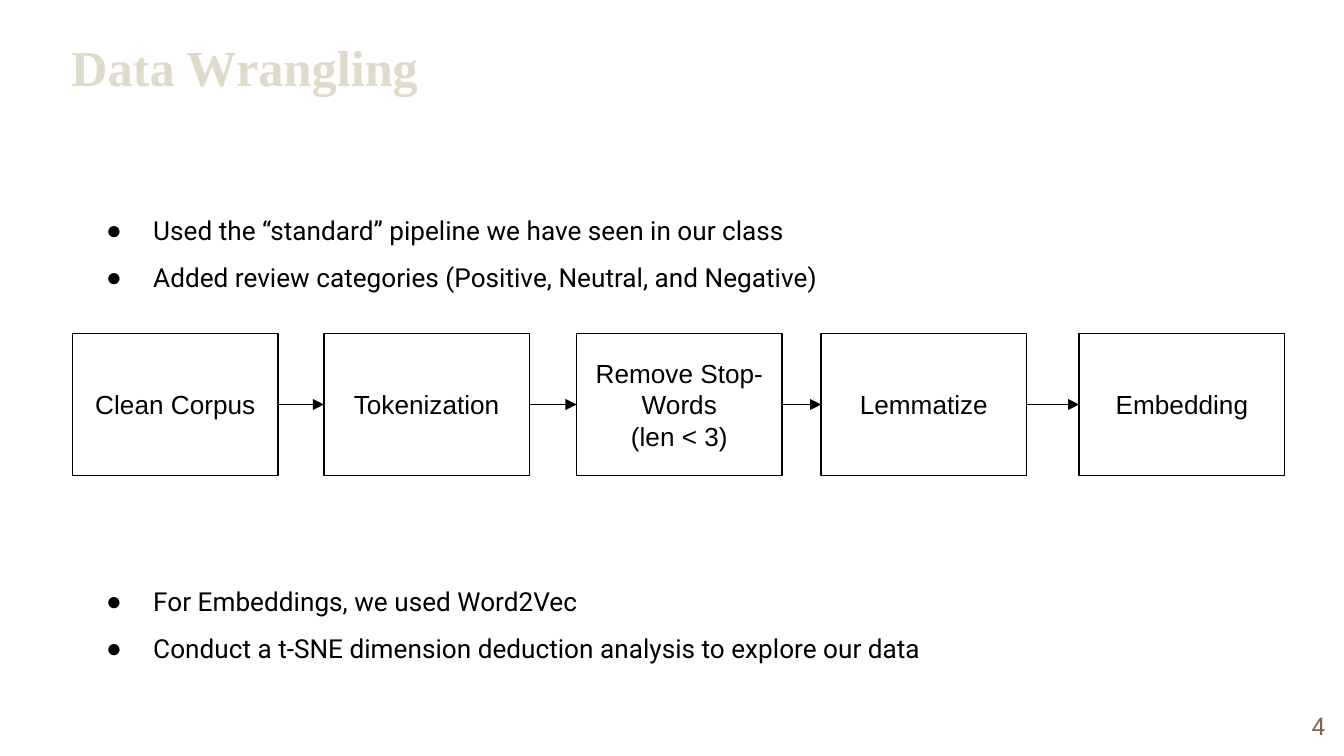
from lxml import etree
from pptx import Presentation
from pptx.dml.color import RGBColor
from pptx.enum.shapes import MSO_CONNECTOR, MSO_SHAPE
from pptx.enum.text import MSO_ANCHOR, MSO_AUTO_SIZE, PP_ALIGN
from pptx.oxml.ns import qn
from pptx.util import Inches, Pt

RECTANGLE = MSO_SHAPE.RECTANGLE
STRAIGHT = MSO_CONNECTOR.STRAIGHT
LEFT, CENTER, RIGHT = PP_ALIGN.LEFT, PP_ALIGN.CENTER, PP_ALIGN.RIGHT
TOP, MIDDLE = MSO_ANCHOR.TOP, MSO_ANCHOR.MIDDLE
FIT_SHAPE, NO_FIT = MSO_AUTO_SIZE.SHAPE_TO_FIT_TEXT, MSO_AUTO_SIZE.NONE
RIGHT_SIDE, LEFT_SIDE = 3, 1
BLACK, WHITE, SAND, BROWN = "000000", "FFFFFF", "E0DAC8", "7F694C"

# Content
TITLE = "Data Wrangling"
PAGE_NUMBER = "4"
BULLET_LISTS = [
    # top, width, items
    (1.38, 6.11, ["Used the “standard” pipeline we have seen in our class",
                  "Added review categories (Positive, Neutral, and Negative)"]),
    (4.14, 6.69, ["For Embeddings, we used Word2Vec",
                  "Conduct a t-SNE dimension deduction analysis to explore our data"]),
]
STEPS = [
    # left, lines
    (0.54, ["Clean Corpus"]),
    (2.41, ["Tokenization"]),
    (4.29, ["Remove Stop-Words", "(len < 3)"]),
    (6.11, ["Lemmatize"]),
    (8.03, ["Embedding"]),
]

# Layout, in inches
SLIDE_WIDTH = 10
SLIDE_HEIGHT = SLIDE_WIDTH * 9 / 16
MARGIN = 0.54
LIST_HEIGHT = 0.79
STEP_TOP, STEP_WIDTH, STEP_HEIGHT = 2.48, 1.53, 1.06
INSET = 0.1


def color(hex_string):
    return RGBColor.from_string(hex_string)


def place(shape, left, top, width, height):
    shape.left, shape.top = Inches(left), Inches(top)
    shape.width, shape.height = Inches(width), Inches(height)


def add_bullet(paragraph):
    properties = paragraph._p.get_or_add_pPr()
    properties.set("marL", str(Inches(0.5)))
    properties.set("indent", str(Inches(-0.35)))
    bullet_color = etree.SubElement(properties, qn("a:buClr"))
    etree.SubElement(bullet_color, qn("a:srgbClr"), val=BLACK)
    etree.SubElement(properties, qn("a:buChar"), char="●")


def write(shape, lines, font_name, size, text_color, align=LEFT,
          anchor=TOP, bold=False, bullets=False):
    frame = shape.text_frame
    frame.word_wrap = True
    frame.auto_size = FIT_SHAPE if bullets else NO_FIT
    frame.vertical_anchor = anchor
    frame.margin_left = frame.margin_right = Inches(INSET)
    frame.margin_top = frame.margin_bottom = Inches(INSET)
    frame.text = "\n".join(lines)
    for paragraph in frame.paragraphs:
        if bullets:
            add_bullet(paragraph)
        paragraph.alignment = align
        paragraph.line_spacing = 1.5 if bullets else 1.0
        paragraph.space_before = Pt(0)
        font = paragraph.font
        font.name, font.size, font.bold = font_name, Pt(size), bold
        font.color.rgb = color(text_color)


def add_step(slide, left, lines):
    box = slide.shapes.add_shape(RECTANGLE, Inches(left), Inches(STEP_TOP),
                                 Inches(STEP_WIDTH), Inches(STEP_HEIGHT))
    box.shadow.inherit = False
    box.fill.solid()
    box.fill.fore_color.rgb = color(WHITE)
    box.line.color.rgb = color(BLACK)
    box.line.width = Pt(0.75)
    write(box, lines, "Arial", 14, BLACK, CENTER, MIDDLE)
    return box


def add_arrow(slide, source, target):
    arrow = slide.shapes.add_connector(STRAIGHT, 0, 0, 0, 0)
    arrow.begin_connect(source, RIGHT_SIDE)
    arrow.end_connect(target, LEFT_SIDE)
    arrow.line.color.rgb = color(BLACK)
    arrow.line.width = Pt(0.75)
    etree.SubElement(arrow.line._get_or_add_ln(), qn("a:tailEnd"), type="triangle")
    etree.SubElement(arrow._element.spPr, qn("a:effectLst"))


def main():
    presentation = Presentation()
    presentation.slide_width = Inches(SLIDE_WIDTH)
    presentation.slide_height = Inches(SLIDE_HEIGHT)
    two_content = presentation.slide_layouts[3]
    slide = presentation.slides.add_slide(two_content)

    # Title
    title, *bodies = slide.placeholders
    place(title, 0.43, 0.17, 8.44, 0.4)
    write(title, [TITLE], "Times New Roman", 27, SAND, bold=True)

    # Bullet lists above and below the pipeline
    for body, (top, width, items) in zip(bodies, BULLET_LISTS):
        place(body, MARGIN, top, width, LIST_HEIGHT)
        write(body, items, "Roboto", 14, BLACK, bullets=True)

    # Pipeline steps joined by arrows
    boxes = [add_step(slide, left, lines) for left, lines in STEPS]
    for source, target in zip(boxes, boxes[1:]):
        add_arrow(slide, source, target)

    # Page number
    number = slide.shapes.add_textbox(Inches(9.36), Inches(5.19), Inches(0.6), Inches(0.43))
    write(number, [PAGE_NUMBER], "Roboto", 13, BROWN, RIGHT)

    presentation.save("out.pptx")


if __name__ == "__main__":
    main()
